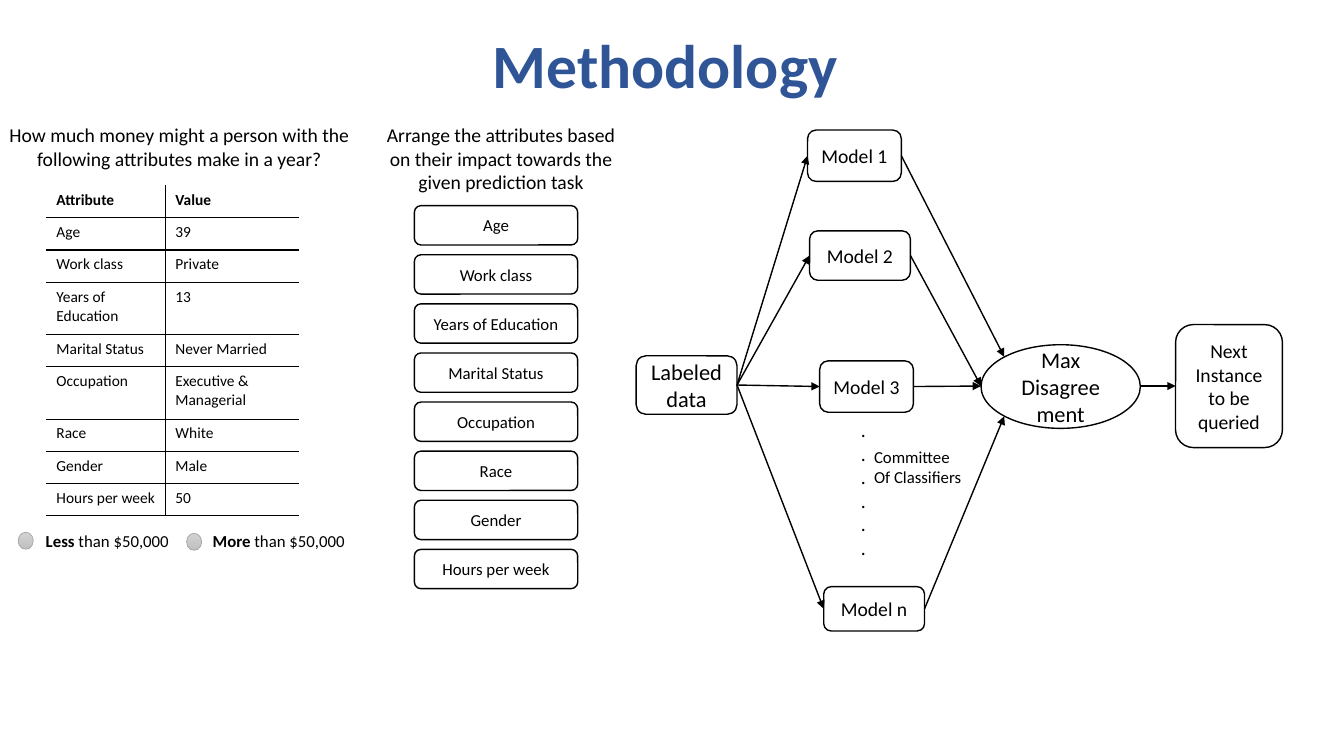
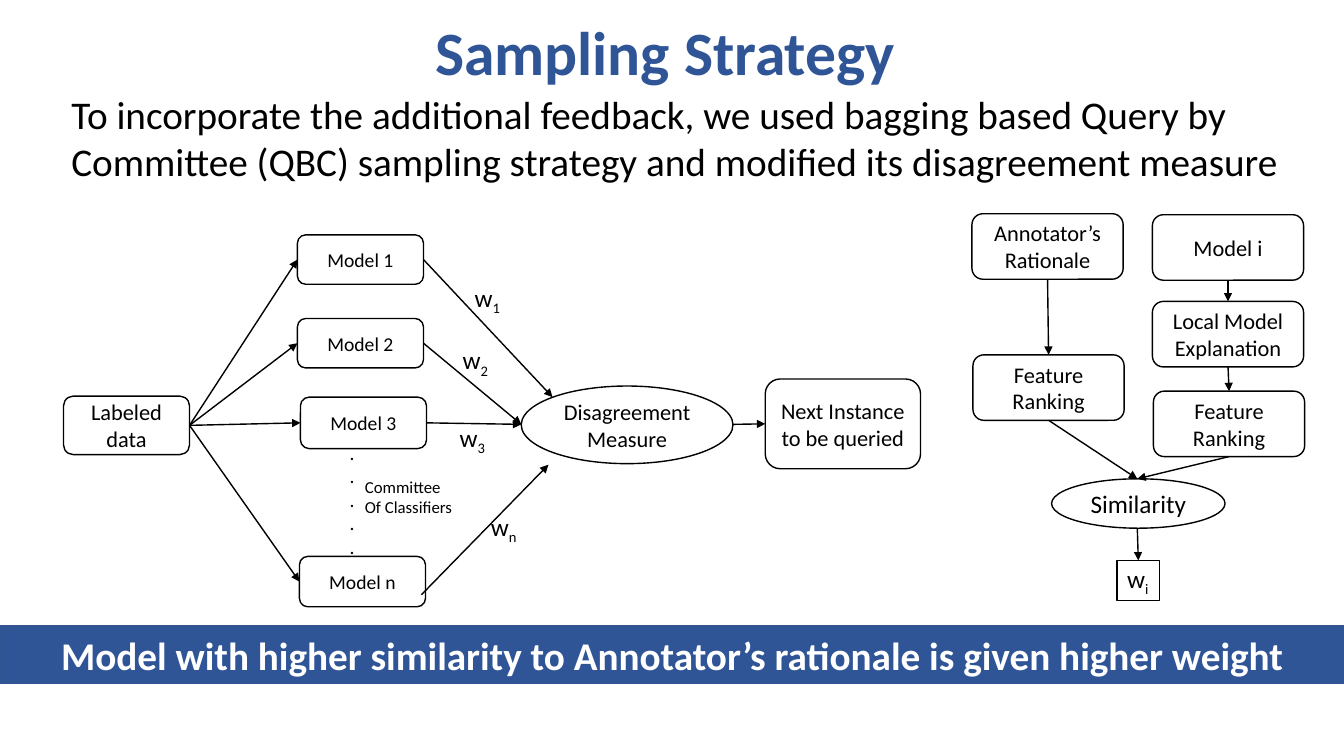
from lxml import etree
from pptx import Presentation, util as u
from pptx.dml.color import RGBColor
from pptx.enum import shapes, text as t
from pptx.oxml.ns import qn

Inches = u.Inches
BLUE = RGBColor(0x2F, 0x55, 0x97)
EDGE = RGBColor(0x32, 0x54, 0x91)
BLACK = RGBColor(0, 0, 0)
WHITE = RGBColor(255, 255, 255)
GRAY = RGBColor(0xA5, 0xA5, 0xA5)
LIGHT = RGBColor(0xD2, 0xD2, 0xD2)
DARK = RGBColor(0xC0, 0xC0, 0xC0)
ROUND = shapes.MSO_SHAPE.ROUNDED_RECTANGLE
OVAL = shapes.MSO_SHAPE.OVAL
RECT = shapes.MSO_SHAPE.RECTANGLE
LEFT = t.PP_ALIGN.LEFT
MID = t.PP_ALIGN.CENTER
TOP, LHS, BASE, RHS = range(4)


def write(frame, words, size=14, bold=False, color=BLACK, align=MID,
          anchor=t.MSO_ANCHOR.MIDDLE, wrap=True, space=None, lead="", sub=""):
    frame.word_wrap = wrap
    frame.auto_size = t.MSO_AUTO_SIZE.NONE
    frame.vertical_anchor = anchor
    for i, line in enumerate(words.split("\n")):
        para = frame.add_paragraph() if i else frame.paragraphs[0]
        para.alignment = align
        para.line_spacing = space
        for part, heavy, low in ((lead, True, False), (line, bold, False), (sub, bold, True)):
            if part:
                run = para.add_run()
                run.text = part
                run.font.name = "Calibri"
                run.font.size = u.Pt(size)
                run.font.bold = heavy
                run.font.color.rgb = color
                if low:
                    run._r.get_or_add_rPr().set("baseline", "-25000")


def link(slide, nodes, start, end):
    spots = [(0, 0) if isinstance(p[0], str) else p for p in (start, end)]
    line = slide.shapes.add_connector(
        shapes.MSO_CONNECTOR.STRAIGHT, *[Inches(v) for spot in spots for v in spot])
    if isinstance(start[0], str):
        line.begin_connect(nodes[start[0]], start[1])
    if isinstance(end[0], str):
        line.end_connect(nodes[end[0]], end[1])
    line.line.color.rgb = BLACK
    line.line.width = u.Pt(1)
    etree.SubElement(line.line._get_or_add_ln(), qn("a:tailEnd"), type="triangle")
    etree.SubElement(line._element.spPr, qn("a:effectLst"))


deck = Presentation()
deck.slide_width = Inches(13.33)
deck.slide_height = Inches(7.5)

big = {"size": 16}
note = {"size": 12, "align": LEFT}
dots = {"align": LEFT, "wrap": False}
tag = {"size": 18, "align": LEFT, "wrap": False}

traits = [("Age", "39"), ("Work class", "Private"), ("Years of Education", "13"),
          ("Marital Status", "Never Married"), ("Occupation", "Executive & Managerial"),
          ("Race", "White"), ("Gender", "Male"), ("Hours per week", "50")]

method = [
    ("ask", None, (-0.37, 1.17, 4.3, 0.57),
     "How much money might a person with the following attributes make in a year?", {}),
    ("less", None, (0, 5.22, 2.13, 0.3), " than $50,000", {"size": 12, "lead": "Less"}),
    ("more", None, (1.8, 5.22, 1.93, 0.3), " than $50,000", {"size": 12, "lead": "More"}),
    ("sort", None, (3.66, 1.17, 2.62, 0.81),
     "Arrange the attributes based on their impact towards the given prediction task", {}),
    ("data", ROUND, (6.31, 3.53, 1, 0.58), "Labeled\ndata", big),
    ("m1", ROUND, (8.01, 1.29, 0.93, 0.51), "Model 1", {}),
    ("m2", ROUND, (8.03, 2.29, 1, 0.49), "Model 2", {}),
    ("m3", ROUND, (8.13, 3.58, 0.93, 0.51), "Model 3", {}),
    ("mn", ROUND, (8.17, 5.82, 1, 0.44), "Model n", {}),
    ("max", OVAL, (9.73, 3.42, 1.58, 0.83), "Max\nDisagreement", big),
    ("next", ROUND, (11.66, 3.22, 1.06, 1.22), "Next Instance\nto be queried", {}),
    ("dots", None, (8.44, 4.1, 0.25, 1.51), "\n".join("." * 6), dots),
    ("group", None, (8.57, 4.38, 1.09, 0.5), "Committee\nOf Classifiers", note),
]
step = (5.45 - 2.04) / 7
for i, (name, value) in enumerate(traits):
    method.append((name, ROUND, (4.11, 2.04 + i * step, 1.62, 0.39), name, {"size": 12}))

sample = [
    ("intro", None, (0.61, 0.85, 12.22, 1.04),
     "To incorporate the additional feedback, we used bagging based Query by Committee (QBC) "
     "sampling strategy and modified its disagreement measure", {"size": 28, "align": LEFT}),
    ("data", ROUND, (0.63, 3.93, 1.25, 0.58), "Labeled\ndata", big),
    ("m1", ROUND, (2.95, 2.33, 1.25, 0.49), "Model 1", {}),
    ("m2", ROUND, (2.95, 3.16, 1.25, 0.49), "Model 2", {}),
    ("m3", ROUND, (2.98, 3.94, 1.25, 0.51), "Model 3", {}),
    ("mn", ROUND, (2.97, 5.52, 1.25, 0.5), "Model n", {}),
    ("gap", OVAL, (5.17, 3.83, 2.1, 0.77), "Disagreement\nMeasure", big),
    ("next", ROUND, (7.59, 3.76, 1.54, 0.89), "Next Instance\nto be queried", big),
    ("dots", None, (3.37, 4.32, 0.25, 1.28), "\n".join("." * 5), dots),
    ("group", None, (3.52, 4.68, 1.09, 0.5), "Committee\nOf Classifiers", note),
    ("human", ROUND, (9.64, 2.12, 1.5, 0.65), "Annotator’s Rationale", big),
    ("rank", ROUND, (9.65, 3.52, 1.5, 0.65), "Feature Ranking", big),
    ("mi", ROUND, (11.43, 2.13, 1.5, 0.65), "Model i", big),
    ("local", ROUND, (11.43, 2.99, 1.5, 0.65), "Local Model Explanation", big),
    ("order", ROUND, (11.44, 3.88, 1.5, 0.65), "Feature Ranking", big),
    ("match", OVAL, (10.43, 4.75, 1.72, 0.49), "Similarity", {"size": 18}),
    ("wi", RECT, (11.08, 5.56, 0.42, 0.4), "w", {**tag, "sub": "i"}),
]
for sub, x, y in (("1", 4.61, 2.75), ("2", 4.49, 3.37), ("3", 4.46, 4.14), ("n", 4.77, 5.02)):
    sample.append(("w" + sub, None, (x, y, 0.47, 0.4), "w", {**tag, "sub": sub}))

fan = [(("data", RHS), (name, LHS)) for name in ("m1", "m2", "m3", "mn")]
flow = fan + [
    (("m1", RHS), (9.96, 3.54)), (("m2", RHS), (9.73, 3.83)),
    (("m3", RHS), (9.73, 3.83)), (("mn", RHS), (9.96, 4.13)),
    ((11.31, 3.83), ("next", LHS)),
]
paths = fan + [
    (("m1", RHS), (5.48, 3.94)), (("m2", RHS), (5.17, 4.21)),
    (("m3", RHS), (5.17, 4.21)), ((4.18, 5.9), (5.44, 4.61)),
    ((7.27, 4.21), ("next", LHS)),
    (("human", BASE), ("rank", TOP)), (("mi", BASE), ("local", TOP)),
    (("local", BASE), ("order", TOP)), (("rank", BASE), (11.28, 4.75)),
    (("order", BASE), (11.28, 4.75)), ((11.28, 5.24), ("wi", TOP)),
]

slides = []
for title, top, items, lines in (("Methodology", 0.16, method, flow),
                                 ("Sampling Strategy", 0.03, sample, paths)):
    slide = deck.slides.add_slide(deck.slide_layouts[5])
    slides.append(slide)
    head = slide.shapes.title
    head.left, head.top, head.width, head.height = map(Inches, (0.71, top, 11.78, 1.05))
    write(head.text_frame, title, size=44, bold=True, color=BLUE, space=0.9)
    nodes = {}
    for name, kind, spot, words, style in items:
        box = [Inches(v) for v in spot]
        if kind is None:
            node = slide.shapes.add_textbox(*box)
            style = {"anchor": t.MSO_ANCHOR.TOP, **style}
        else:
            node = slide.shapes.add_shape(kind, *box)
            node.shadow.inherit = False
            node.fill.solid()
            node.fill.fore_color.rgb = WHITE
            node.line.color.rgb = BLACK
            node.line.width = u.Pt(1)
        write(node.text_frame, words, **style)
        nodes[name] = node
    for start, end in lines:
        link(slide, nodes, start, end)

first, last = slides
rows = [("Attribute", "Value")] + traits
grid = first.shapes.add_table(len(rows), 2, Inches(0.46), Inches(1.84),
                              Inches(2.5), Inches(3.28)).table
grid.first_row = False
grid.horz_banding = False
grid.columns[0].width = Inches(1.18)
grid.columns[1].width = Inches(1.32)
for i, row in enumerate(rows):
    grid.rows[i].height = Inches(0.52 if i in (3, 5) else 0.32)
    for j, words in enumerate(row):
        cell = grid.cell(i, j)
        write(cell.text_frame, words, size=11, bold=i == 0, align=LEFT)
        cell.vertical_anchor = t.MSO_ANCHOR.TOP
        props = cell._tc.get_or_add_tcPr()
        for side in ("lnL" if j else "lnR", "lnT", "lnB"):
            if side != "lnT" or i:
                rule = etree.SubElement(props, qn("a:" + side), w="12700")
                fill = etree.SubElement(rule, qn("a:solidFill"))
                etree.SubElement(fill, qn("a:srgbClr"), val=str(BLACK))
        cell.fill.background()

for x, y in ((0.18, 5.28), (1.85, 5.29)):
    knob = first.shapes.add_shape(OVAL, Inches(x), Inches(y), Inches(0.15), Inches(0.17))
    knob.shadow.inherit = False
    knob.fill.gradient()
    knob.fill.gradient_angle = 270
    for stop, color in zip(knob.fill.gradient_stops, (LIGHT, DARK)):
        stop.color.rgb = color
    knob.line.color.rgb = GRAY
    knob.line.width = u.Pt(0.5)

band = last.shapes.add_shape(RECT, 0, Inches(6.21), deck.slide_width, Inches(0.57))
band.shadow.inherit = False
band.fill.solid()
band.fill.fore_color.rgb = BLUE
band.line.color.rgb = EDGE
band.line.width = u.Pt(1)
write(band.text_frame, "Model with higher similarity to Annotator’s rationale is given higher weight",
      size=28, bold=True, color=WHITE)

deck.save("out.pptx")
